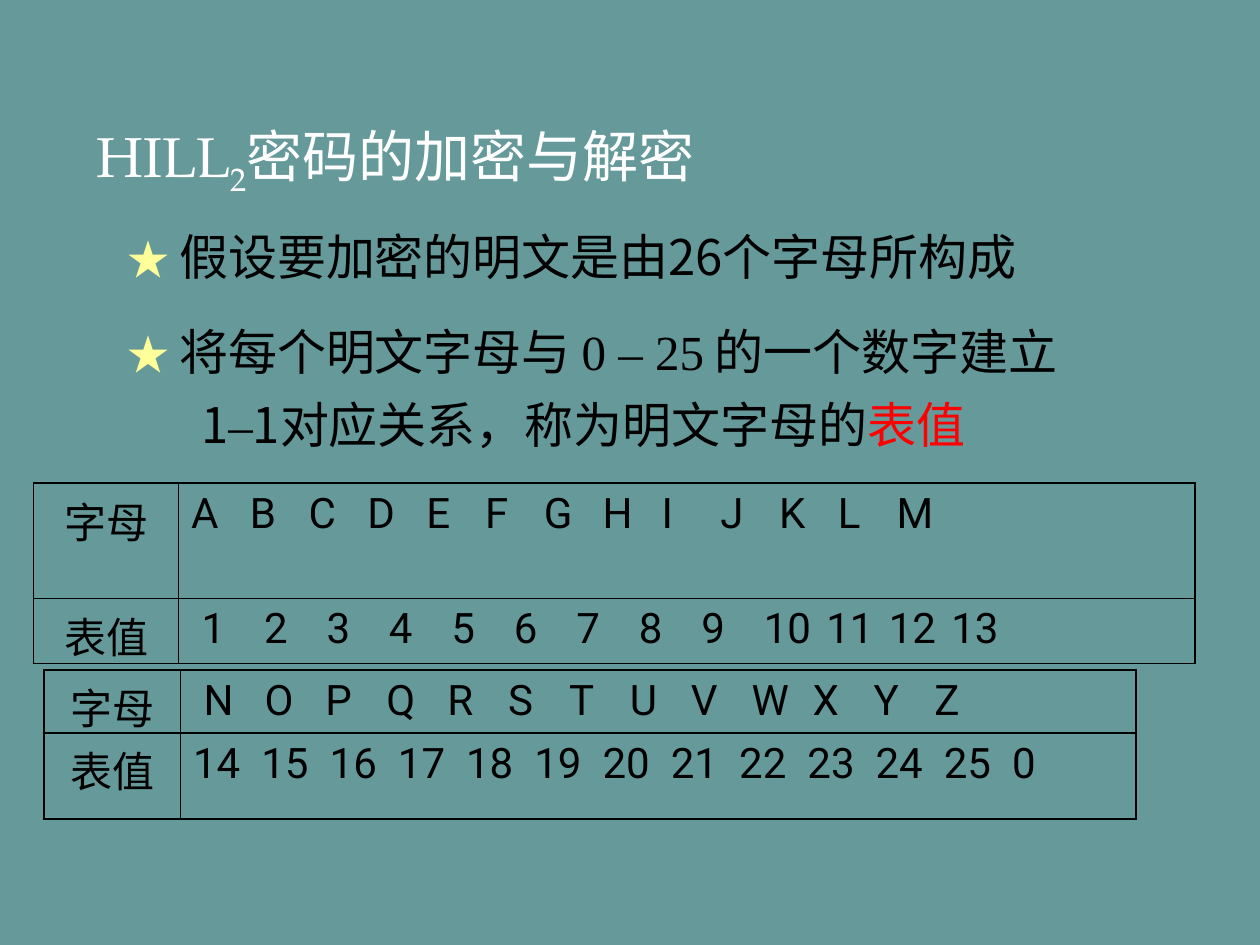
import lxml.etree
import pptx
import pptx.dml.color
import pptx.enum.text
import pptx.oxml.ns
import pptx.util

SANS, ROBOTO, TIMES = "Noto Sans CJK SC", "Roboto", "Times New Roman"
BLACK, WHITE, YELLOW, RED = "000000", "FFFFFF", "FFFF99", "FF0000"
qn = pptx.oxml.ns.qn
colour = pptx.dml.color.RGBColor.from_string
ALIGN = pptx.enum.text.PP_ALIGN

deck = pptx.Presentation()
deck.slide_width = pptx.util.Inches(10)
deck.slide_height = pptx.util.Inches(7.5)
UNIT = deck.slide_width / 120  # the slide is a grid of 120 columns by 90 rows


def grid(*counts):
    """Turn counts of columns or rows into lengths."""
    return [pptx.util.Emu(round(count * UNIT)) for count in counts]


def write(para, text, size=28, font=SANS, color=BLACK, baseline=0):
    span = para.add_run()
    span.text = text
    span.font.size = pptx.util.Pt(size)
    span.font.color.rgb = colour(color)
    span.font.name = font
    props = span._r.get_or_add_rPr()
    lxml.etree.SubElement(props, qn("a:ea")).set("typeface", SANS)
    if baseline:
        props.set("baseline", str(baseline * 1000))


page = deck.slides.add_slide(deck.slide_layouts[5])
page.background.fill.solid()
page.background.fill.fore_color.rgb = colour("669999")

# Title
title = page.shapes.title
title.left, title.top, title.width, title.height = grid(8, 11, 63, 7.5)
frame = title.text_frame
frame.word_wrap = True
frame.vertical_anchor = pptx.enum.text.MSO_ANCHOR.TOP
frame.auto_size = pptx.enum.text.MSO_AUTO_SIZE.NONE
para = frame.paragraphs[0]
para.alignment = ALIGN.LEFT
write(para, "HILL", size=32, font="TeX Gyre Pagella", color=WHITE)
write(para, "2", size=32, font="TeX Gyre Pagella", color=WHITE, baseline=-25)
write(para, "密码的加密与解密", size=32, font=TIMES, color=WHITE)

# Statements: left, top, width, then the spans of the line
star = ("★ ", {"size": 24, "color": YELLOW})
statements = [
    (11, 21, 93, [star, ("假设要加密的明文是由26个字母所构成", {})]),
    (11, 30, 99, [star, ("将每个明文字母与 ", {}), ("0 – 25", {"font": TIMES}),
                  (" 的一个数字建立", {})]),
    (18, 37, 91, [("1", {}), ("–", {"font": TIMES}), ("1对应关系，称为明文字母的", {}),
                  ("表值", {"font": TIMES, "color": RED})]),
]
for left, top, width, spans in statements:
    box = page.shapes.add_textbox(*grid(left, top, width, 6.8))
    box.text_frame.word_wrap = True
    box.text_frame.auto_size = pptx.enum.text.MSO_AUTO_SIZE.SHAPE_TO_FIT_TEXT
    for text, style in spans:
        write(box.text_frame.paragraphs[0], text, **style)

# Code tables: each row has a label, its entries, their pitch and the left margin
tables = [
    {"at": (3.2, 46), "columns": (13.8, 96.8), "heights": (11, 6.2), "rows": [
        ("字母", "ABCDEFGHIJKLM", 5.6, 1.2),
        ("表值", range(1, 14), 5.95, 2.2)]},
    {"at": (4.2, 63.8), "columns": (13, 91), "heights": (6, 8.2), "rows": [
        ("字母", "NOPQRSTUVWXYZ", 5.8, 2.2),
        ("表值", [*range(14, 26), 0], 6.5, 1.2)]},
]
for spec_row in tables:
    columns, heights = spec_row["columns"], spec_row["heights"]
    table = page.shapes.add_table(
        2, 2, *grid(*spec_row["at"], sum(columns), sum(heights))).table
    table.first_row = table.horz_banding = False
    for index in range(2):
        table.columns[index].width, table.rows[index].height = grid(
            columns[index], heights[index])

    for index, (label, entries, pitch, margin) in enumerate(spec_row["rows"]):
        label_cell, entry_cell = table.cell(index, 0), table.cell(index, 1)
        para = label_cell.text_frame.paragraphs[0]
        para.alignment = ALIGN.CENTER
        write(para, label, size=24, font=ROBOTO)

        entry_cell.margin_left = grid(margin)[0]
        para = entry_cell.text_frame.paragraphs[0]
        stops = lxml.etree.SubElement(para._p.get_or_add_pPr(), qn("a:tabLst"))
        for position in grid(*(pitch * step for step in range(1, len(entries)))):
            stop = lxml.etree.SubElement(stops, qn("a:tab"))
            stop.set("pos", str(position))
            stop.set("algn", "l")
        write(para, "\t".join(map(str, entries)), size=24, font=ROBOTO)

        for cell in (label_cell, entry_cell):
            props = cell._tc.get_or_add_tcPr()
            for side in ("a:lnL", "a:lnR", "a:lnT", "a:lnB"):
                line = lxml.etree.SubElement(props, qn(side))
                line.set("w", str(pptx.util.Pt(1)))
                fill = lxml.etree.SubElement(line, qn("a:solidFill"))
                lxml.etree.SubElement(fill, qn("a:srgbClr")).set("val", BLACK)
            cell.fill.background()

deck.save("out.pptx")
